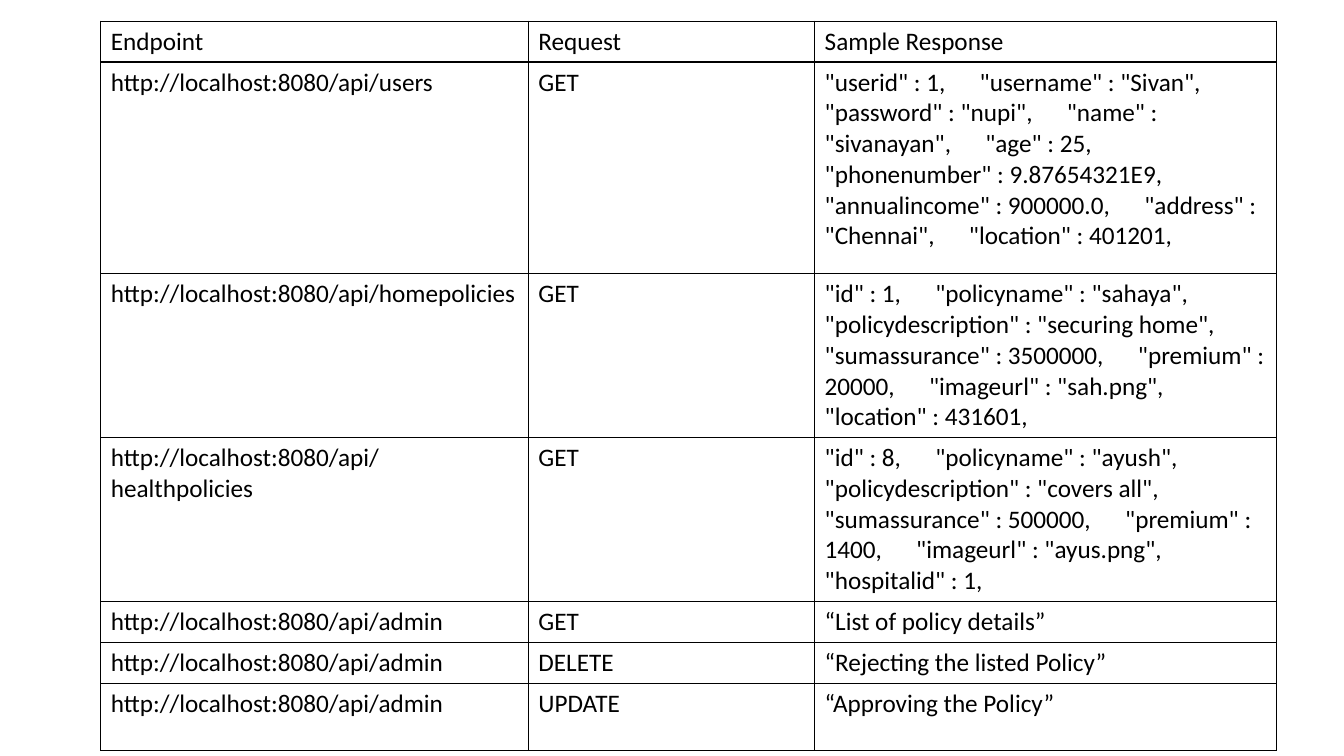
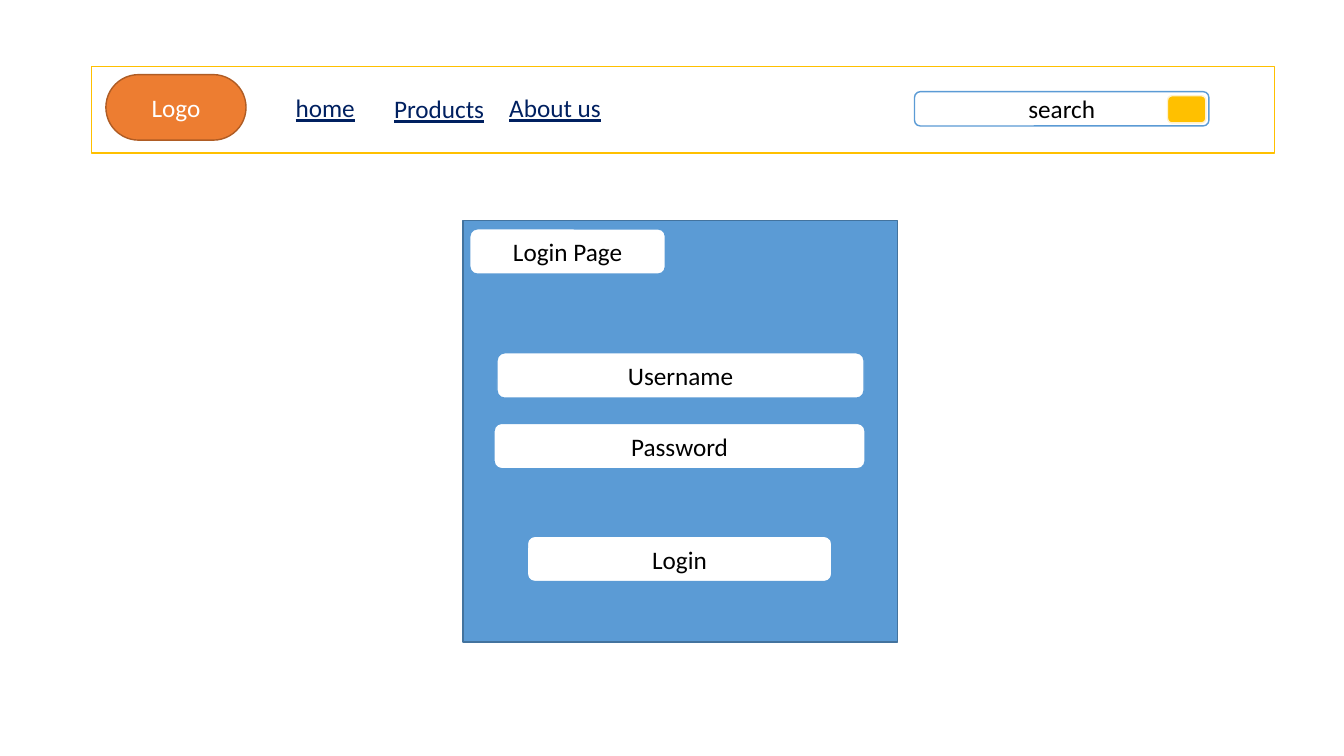
import pptx
import pptx.util
import pptx.dml.color
import pptx.enum.shapes
import pptx.enum.text
import pptx.oxml.ns
import lxml.etree

Inches = pptx.util.Inches
KIND = pptx.enum.shapes.MSO_SHAPE
BOX, ROUND = KIND.RECTANGLE, KIND.ROUNDED_RECTANGLE
MID = pptx.enum.text.MSO_ANCHOR.MIDDLE
LEFT = pptx.enum.text.PP_ALIGN.LEFT
MIDST = pptx.enum.text.PP_ALIGN.CENTER

# Shared style
FONT, SIZE = "Calibri", 18
BLACK, WHITE, NAVY = "000000", "FFFFFF", "002060"
BLUE, STEEL, GOLD, CREAM = "5B9BD5", "43739E", "FFC000", "FFF2CC"
ORANGE, RUST = "ED7D31", "AF5C24"
GAP = 20.3  # extra points after each field of a sample

# Endpoint table: a sample is a list of fields
BASE = "http://localhost:8080/api/"
COLS = [4.24, 2.84, 4.58]
ROWS = [
    (0.39, "Endpoint", "Request", ["Sample Response"]),
    (2.1, BASE + "users", "GET", [
        '"userid" : 1,', '"username" : "Sivan",', '"password" : "nupi",',
        '"name" : "sivanayan",', '"age" : 25,',
        '"phonenumber" : 9.87654321E9,', '"annualincome" : 900000.0,',
        '"address" : "Chennai",', '"location" : 401201,']),
    (1.53, BASE + "homepolicies", "GET", [
        '"id" : 1,', '"policyname" : "sahaya",',
        '"policydescription" : "securing home",',
        '"sumassurance" : 3500000,', '"premium" : 20000,',
        '"imageurl" : "sah.png",', '"location" : 431601,']),
    (1.53, BASE + "healthpolicies", "GET", [
        '"id" : 8,', '"policyname" : "ayush",',
        '"policydescription" : "covers all",',
        '"sumassurance" : 500000,', '"premium" : 1400,',
        '"imageurl" : "ayus.png",', '"hospitalid" : 1,']),
    (0.39, BASE + "admin", "GET", ["“List of policy details”"]),
    (0.39, BASE + "admin", "DELETE", ["“Rejecting the listed Policy”"]),
    (0.67, BASE + "admin", "UPDATE", ["“Approving the Policy”"]),
]

# Login page: kind, left, top, width, height, fill, line
PANEL = (BOX, 4.59, 2.19, 4.31, 4.18, BLUE, STEEL)
HEADER = (BOX, 0.91, 0.66, 11.73, 0.86, WHITE, GOLD)
LOGO = (ROUND, 1.05, 0.74, 1.39, 0.65, ORANGE, RUST)
SEARCH = (ROUND, 9.07, 0.91, 2.92, 0.34, WHITE, BLUE)
BUTTON = (ROUND, 11.58, 0.95, 0.38, 0.27, GOLD, CREAM)
FIELD_H = 0.45
FIELDS = [  # text, left, top, width
    ("Login Page", 4.66, 2.27, 1.94),
    ("Username", 4.93, 3.5, 3.64),
    ("Password", 4.9, 4.2, 3.68),
    ("Login", 5.23, 5.32, 3.02),
]
LINKS = [  # text, left, top, width
    ("home", 2.78, 0.87, 0.89),
    ("Products", 3.78, 0.88, 1.15),
    ("About us", 4.87, 0.87, 1.27),
]


def rgb(code):
    return pptx.dml.color.RGBColor.from_string(code)


def write(frame, text, color=BLACK, align=LEFT, under=False):
    """Write one paragraph; a list of parts gets a wide space between them."""
    parts = [text] if isinstance(text, str) else text
    para = frame.paragraphs[0]
    para.alignment = align
    for i, part in enumerate(parts):
        for word in ([" ", part] if i else [part]):
            run = para.add_run()
            run.text = word
            font = run.font
            font.name, font.size = FONT, pptx.util.Pt(SIZE)
            font.color.rgb = rgb(color)
            if under:
                font.underline = True
            if word == " ":
                run.font._element.set("spc", str(round(GAP * 100)))


def shape(slide, place, text=None, color=BLACK):
    kind, x, y, w, h, fill, line = place
    item = slide.shapes.add_shape(
        kind, Inches(x), Inches(y), Inches(w), Inches(h))
    item.shadow.inherit = False
    item.fill.solid()
    item.fill.fore_color.rgb = rgb(fill)
    item.line.color.rgb = rgb(line)
    item.line.width = pptx.util.Pt(1)
    if text:
        item.text_frame.word_wrap = True
        item.text_frame.vertical_anchor = MID
        write(item.text_frame, text, color=color, align=MIDST)
    return item


def border(cell, color=BLACK):
    name = pptx.oxml.ns.qn
    props = cell._tc.get_or_add_tcPr()
    for i, side in enumerate(("a:lnL", "a:lnR", "a:lnT", "a:lnB")):
        line = lxml.etree.Element(name(side), w=str(pptx.util.Pt(1)))
        fill = lxml.etree.SubElement(line, name("a:solidFill"))
        lxml.etree.SubElement(fill, name("a:srgbClr"), val=color)
        props.insert(i, line)


def draw_table(slide):
    high = sum(row[0] for row in ROWS)
    table = slide.shapes.add_table(
        len(ROWS), len(COLS), Inches(1), Inches(0.21),
        Inches(sum(COLS)), Inches(high)).table
    table.first_row = table.horz_banding = False
    for col, width in zip(table.columns, COLS):
        col.width = Inches(width)
    for r, (height, *texts) in enumerate(ROWS):
        table.rows[r].height = Inches(height)
        for c, text in enumerate(texts):
            cell = table.cell(r, c)
            cell.fill.solid()
            cell.fill.fore_color.rgb = rgb(WHITE)
            border(cell)
            write(cell.text_frame, text)


def draw_login(slide):
    # Login panel
    shape(slide, PANEL)
    for text, x, y, w in FIELDS:
        shape(slide, (ROUND, x, y, w, FIELD_H, WHITE, BLUE), text)
    # Header with links
    shape(slide, HEADER)
    logo = shape(slide, LOGO, "Logo", color=WHITE)
    logo.adjustments[0] = 0.5
    for text, x, y, w in LINKS:
        frame = slide.shapes.add_textbox(
            Inches(x), Inches(y), Inches(w), Inches(0.4)).text_frame
        frame.word_wrap = True
        frame.auto_size = pptx.enum.text.MSO_AUTO_SIZE.SHAPE_TO_FIT_TEXT
        write(frame, text, color=NAVY, align=MIDST, under=True)
    # Search bar
    shape(slide, SEARCH, "search")
    shape(slide, BUTTON)


def main():
    deck = pptx.Presentation()
    deck.slide_width, deck.slide_height = Inches(13.33), Inches(7.5)
    for draw in (draw_table, draw_login):
        draw(deck.slides.add_slide(deck.slide_layouts[6]))
    deck.save("out.pptx")


if __name__ == "__main__":
    main()
